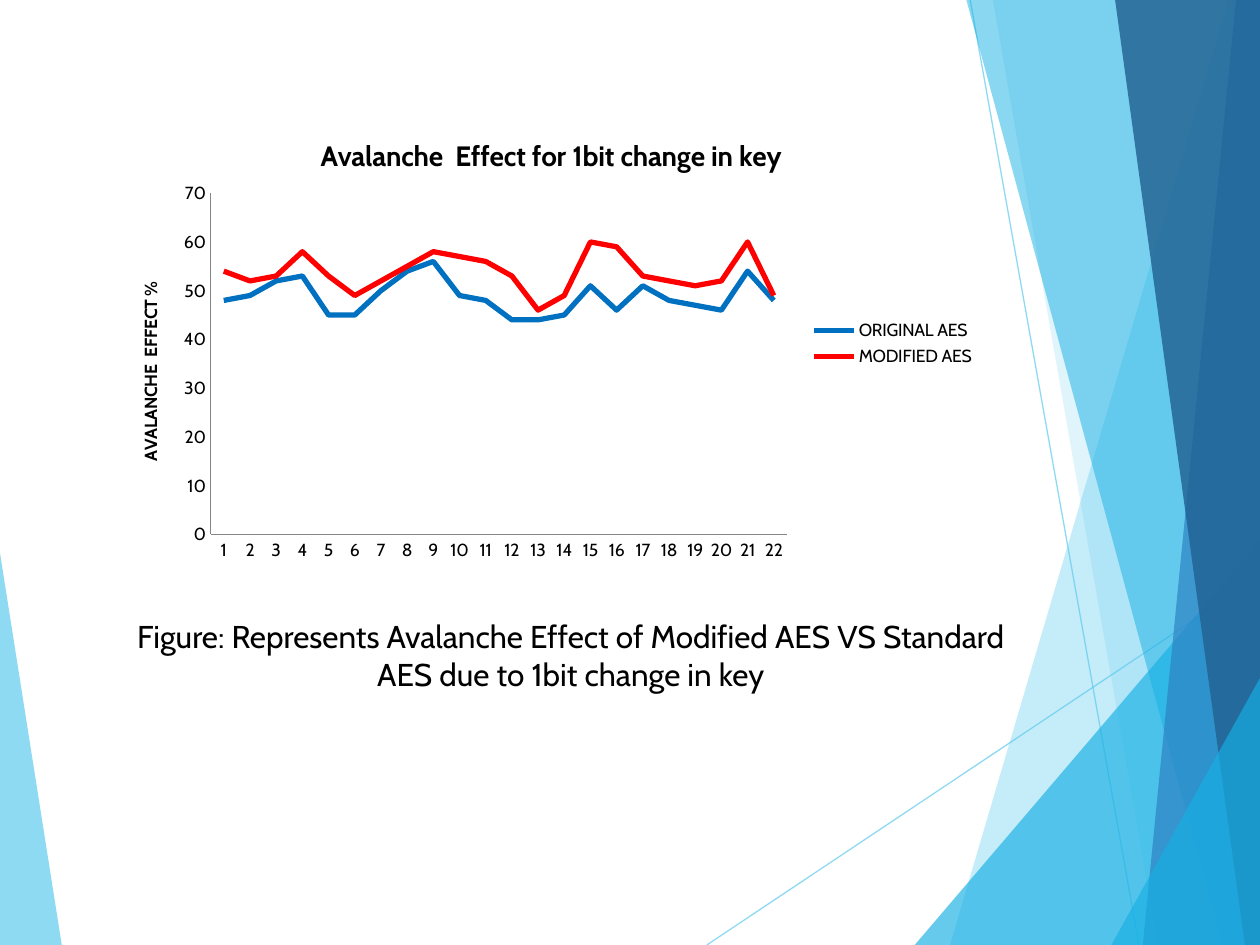
from lxml.etree import SubElement
from pptx import Presentation
from pptx.chart.data import CategoryChartData
from pptx.dml.color import RGBColor
from pptx.enum.chart import XL_CHART_TYPE, XL_LEGEND_POSITION, XL_TICK_MARK
from pptx.enum.shapes import MSO_CONNECTOR
from pptx.enum.text import PP_ALIGN
from pptx.oxml import parse_xml
from pptx.oxml.ns import nsdecls, qn
from pptx.util import Inches, Pt

FONT = "Cabin"
WIDTH, HEIGHT = 10, 7.5

# Corner points, fill, opacity in percent
LEFT_WEDGE = [(0, 4.39), (0.49, HEIGHT), (0, HEIGHT)], "5FCBEF", 70
RAYS = [((5.61, 7.5), (10, 4.57)), ((7.7, 0), (9.04, 7.5))]
RIGHT_FACETS = [
    ([(9.75, 0), (7.54, 7.5), (10, 7.5), (10, 0)], "5FCBEF", 36),
    ([(7.88, 0), (9.19, 7.5), (10, 7.5), (10, 0)], "5FCBEF", 20),
    ([(7.26, 7.5), (10, 4.29), (10, 7.5)], "17B0E4", 66),
    ([(7.67, 0), (9.7, 7.5), (10, 7.5), (10, 0)], "17B0E4", 50),
    ([(9.81, 0), (9.07, 7.5), (10, 7.5), (10, 0)], "2E83C3", 70),
    ([(8.85, 0), (9.88, 7.5), (10, 7.5), (10, 0)], "226292", 82),
    ([(8.82, 7.5), (10, 5.38), (10, 7.5)], "17B0E4", 66),
]

SERIES = [
    ("ORIGINAL AES", "0070C0",
     [48, 49, 52, 53, 45, 45, 50, 54, 56, 49, 48,
      44, 44, 45, 51, 46, 51, 48, 47, 46, 54, 48]),
    ("MODIFIED AES", "FF0000",
     [54, 52, 53, 58, 53, 49, 52, 55, 58, 57, 56,
      53, 46, 49, 60, 59, 53, 52, 51, 52, 60, 49]),
]


def rgb(color):
    return RGBColor.from_string(color)


def set_alpha(fill_parent, percent):
    color = next(fill_parent.iter(qn("a:srgbClr")))
    SubElement(color, qn("a:alpha"), val=str(percent * 1000))


def style_font(font, size, bold=False):
    font.name, font.size, font.bold = FONT, Pt(size), bold
    font.color.rgb = rgb("000000")


def add_facet(s, points, color, opacity):
    start, *rest = [(Inches(x), Inches(y)) for x, y in points]
    builder = s.shapes.build_freeform(*start)
    builder.add_line_segments(rest, close=True)
    sp = builder.convert_to_shape()
    sp.shadow.inherit = False
    sp.line.fill.background()
    sp.fill.solid()
    sp.fill.fore_color.rgb = rgb(color)
    set_alpha(sp._element.spPr, opacity)


def add_ray(s, start, end):
    ends = [Inches(v) for v in (*start, *end)]
    line = s.shapes.add_connector(MSO_CONNECTOR.STRAIGHT, *ends)
    line.line.width = Pt(0.75)
    line.line.color.rgb = rgb("5FCBEF")
    set_alpha(line._element.spPr, 70)
    SubElement(line._element.spPr, qn("a:effectLst"))


def add_backdrop(s):
    add_facet(s, *LEFT_WEDGE)
    for start, end in RAYS:
        add_ray(s, start, end)
    for facet in RIGHT_FACETS:
        add_facet(s, *facet)


def set_title(owner, text, size):
    """Title a chart or an axis."""
    tf = (owner.chart_title if hasattr(owner, "chart_title") else owner.axis_title).text_frame
    tf.text = text
    style_font(tf.paragraphs[0].runs[0].font, size, bold=True)


def set_plot_box(chart, x, y, w, h):
    """Place the inner plot area, in fractions of the chart."""
    area = chart._chartSpace.chart.plotArea
    for old in area.findall(qn("c:layout")):
        area.remove(old)
    area.insert(0, parse_xml(
        f'<c:layout {nsdecls("c")}><c:manualLayout><c:layoutTarget val="inner"/>'
        '<c:xMode val="edge"/><c:yMode val="edge"/>'
        f'<c:x val="{x}"/><c:y val="{y}"/><c:w val="{w}"/><c:h val="{h}"/>'
        '</c:manualLayout></c:layout>'))


def add_avalanche_chart(s, x, y, w, h):
    data = CategoryChartData()
    data.categories = [str(n + 1) for n in range(len(SERIES[0][2]))]
    for name, _, values in SERIES:
        data.add_series(name, values)
    box = [Inches(v) for v in (x, y, w, h)]
    chart = s.shapes.add_chart(XL_CHART_TYPE.LINE, *box, data).chart
    style_font(chart.font, 10)
    set_title(chart, "Avalanche  Effect for 1bit change in key", 16)
    chart.plots[0].vary_by_categories = False

    for series, (_, color, _) in zip(chart.plots[0].series, SERIES):
        series.smooth = False
        series.format.line.width = Pt(3)
        series.format.line.color.rgb = rgb(color)

    for axis in (chart.category_axis, chart.value_axis):
        axis.has_major_gridlines = False
        axis.major_tick_mark = axis.minor_tick_mark = XL_TICK_MARK.NONE
        axis.format.line.width = Pt(0.75)
        axis.format.line.color.rgb = rgb("868686")
    values = chart.value_axis
    values.minimum_scale, values.maximum_scale, values.major_unit = 0, 70, 10
    set_title(values, "AVALANCHE  EFFECT %", 10)

    chart.has_legend = True
    chart.legend.position = XL_LEGEND_POSITION.RIGHT
    chart.legend.include_in_layout = False
    set_plot_box(chart, 0.11, 0.17, 0.66, 0.75)


def add_caption(s, x, y, w, h):
    tf = s.shapes.add_textbox(*[Inches(v) for v in (x, y, w, h)]).text_frame
    tf.word_wrap = True
    tf.text = ("Figure: Represents Avalanche Effect of Modified AES VS Standard "
               "AES due to 1bit change in key")
    p = tf.paragraphs[0]
    p.alignment = PP_ALIGN.CENTER
    style_font(p.runs[0].font, 18)


def main():
    prs = Presentation()
    prs.slide_width, prs.slide_height = Inches(WIDTH), Inches(HEIGHT)
    s = prs.slides.add_slide(prs.slide_layouts[6])
    add_backdrop(s)
    add_avalanche_chart(s, 0.91, 0.92, 6.93, 3.61)
    add_caption(s, 0.75, 4.85, 7.56, 0.71)
    prs.save("out.pptx")


if __name__ == "__main__":
    main()
